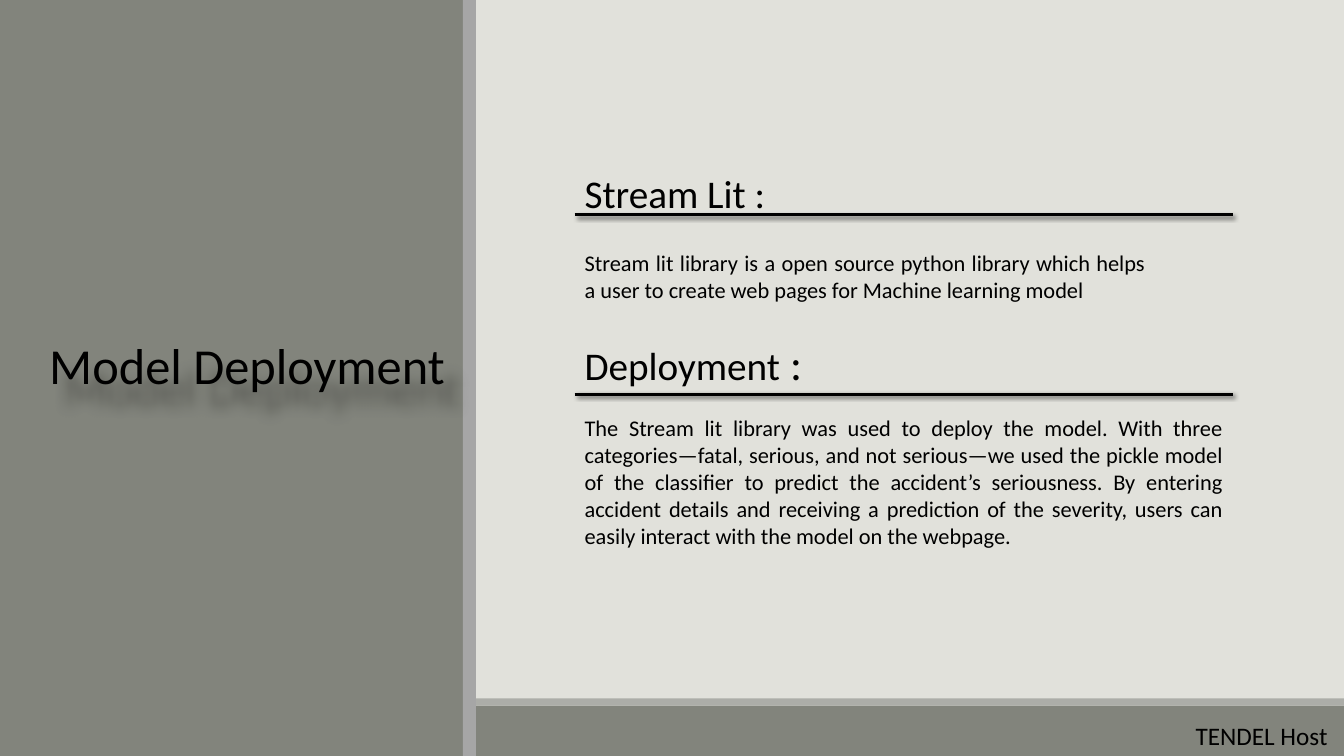
from dataclasses import dataclass

from lxml import etree
from pptx import Presentation
from pptx.dml.color import RGBColor
from pptx.enum.shapes import MSO_CONNECTOR, MSO_SHAPE
from pptx.enum.text import MSO_ANCHOR, PP_ALIGN
from pptx.oxml.ns import qn
from pptx.util import Inches, Pt

RECTANGLE = MSO_SHAPE.RECTANGLE
STRAIGHT = MSO_CONNECTOR.STRAIGHT
TOP = MSO_ANCHOR.TOP
LEFT, JUSTIFY = PP_ALIGN.LEFT, PP_ALIGN.JUSTIFY


@dataclass(frozen=True)
class Theme:
    font: str = "Calibri"
    background: str = "E1E1DB"
    panel: str = "82847C"
    footer_edge: str = "ACADA8"
    panel_edge: str = "A6A6A6"
    ink: str = "000000"
    title: int = 36
    heading: int = 28
    colon: int = 32
    body: int = 16
    host: int = 18


@dataclass(frozen=True)
class Band:
    left: float
    top: float
    width: float
    height: float
    color: str


@dataclass(frozen=True)
class Shadow:
    opacity: int
    blur: float
    distance: float
    angle: int


@dataclass(frozen=True)
class Section:
    heading: str
    colon_size: int
    heading_top: float
    heading_height: float
    rule_y: float
    body: str
    body_top: float
    body_width: float
    body_height: float


THEME = Theme()
SLIDE_W, SLIDE_H = 13.33, 7.5
CONTENT_LEFT, CONTENT_W = 5.7, 6.53
RULE_SHADOW = Shadow(opacity=60, blur=3, distance=2, angle=45)
TITLE_SHADOW = Shadow(opacity=40, blur=10, distance=18, angle=55)

FOOTER = (
    Band(0, 7, SLIDE_W, 0.5, THEME.panel),
    Band(0, 6.93, SLIDE_W, 0.07, THEME.footer_edge),
)
SIDE_PANEL = (
    Band(0, 0, 4.59, SLIDE_H, THEME.panel),
    Band(4.59, 0, 0.13, SLIDE_H, THEME.panel_edge),
)
SECTIONS = (
    Section("Stream Lit", THEME.heading, 1.63, 0.57, 2.13,
            "Stream lit library is a open source python library which helps "
            "a user to create web pages for Machine learning model",
            2.42, 5.76, 0.64),
    Section("Deployment", THEME.colon, 3.28, 0.64, 3.91,
            "The Stream lit library was used to deploy the model. With three "
            "categories—fatal, serious, and not serious—we used the pickle model "
            "of the classifier to predict the accident’s seriousness. By entering "
            "accident details and receiving a prediction of the severity, users "
            "can easily interact with the model on the webpage.",
            4.06, CONTENT_W, 1.75),
)


def rgb(color: str) -> RGBColor:
    return RGBColor.from_string(color)


def add_effects(shape, shadow: Shadow) -> None:
    """Give a shape its own outer shadow."""
    effects = etree.SubElement(shape._element.spPr, qn("a:effectLst"))
    outer = etree.SubElement(
        effects, qn("a:outerShdw"), blurRad=str(Pt(shadow.blur)),
        dist=str(Pt(shadow.distance)), dir=str(shadow.angle * 60000),
        algn="tl", rotWithShape="0")
    color = etree.SubElement(outer, qn("a:srgbClr"), val=THEME.ink)
    etree.SubElement(color, qn("a:alpha"), val=str(shadow.opacity * 1000))


def add_band(slide, band: Band) -> None:
    shape = slide.shapes.add_shape(
        RECTANGLE, Inches(band.left), Inches(band.top),
        Inches(band.width), Inches(band.height))
    shape.shadow.inherit = False
    shape.fill.solid()
    shape.fill.fore_color.rgb = rgb(band.color)
    shape.line.fill.background()


def add_text(slide, text: str, *, left: float, top: float, width: float,
             height: float, size: int, align: PP_ALIGN = LEFT,
             suffix: str = "", suffix_size: int = 0):
    """Add one paragraph, with an optional ending of another size."""
    box = slide.shapes.add_textbox(
        Inches(left), Inches(top), Inches(width), Inches(height))
    frame = box.text_frame
    frame.word_wrap = True
    frame.vertical_anchor = TOP
    paragraph = frame.paragraphs[0]
    paragraph.alignment = align
    pieces = [(text, size)]
    if suffix:
        pieces.append((suffix, suffix_size))
    for words, points in pieces:
        run = paragraph.add_run()
        run.text = words
        run.font.name = THEME.font
        run.font.size = Pt(points)
        run.font.color.rgb = rgb(THEME.ink)
    return box


def add_rule(slide, y: float) -> None:
    rule = slide.shapes.add_connector(
        STRAIGHT, Inches(CONTENT_LEFT), Inches(y),
        Inches(CONTENT_LEFT + CONTENT_W), Inches(y))
    rule.line.color.rgb = rgb(THEME.ink)
    rule.line.width = Pt(2)
    add_effects(rule, RULE_SHADOW)


def add_section(slide, section: Section) -> None:
    add_text(slide, section.heading, left=CONTENT_LEFT, top=section.heading_top,
             width=CONTENT_W, height=section.heading_height, size=THEME.heading,
             suffix=" :", suffix_size=section.colon_size)
    add_rule(slide, section.rule_y)
    add_text(slide, section.body, left=CONTENT_LEFT, top=section.body_top,
             width=section.body_width, height=section.body_height,
             size=THEME.body, align=JUSTIFY)


def main() -> None:
    deck = Presentation()
    deck.slide_width, deck.slide_height = Inches(SLIDE_W), Inches(SLIDE_H)
    slide = deck.slides.add_slide(deck.slide_layouts[6])
    slide.background.fill.solid()
    slide.background.fill.fore_color.rgb = rgb(THEME.background)

    # Footer and side panel
    for band in FOOTER + SIDE_PANEL:
        add_band(slide, band)

    # Title on the side panel
    title = add_text(slide, "Model Deployment", left=0.39, top=3.27,
                     width=4.2, height=0.71, size=THEME.title)
    add_effects(title, TITLE_SHADOW)

    # Headed sections
    for section in SECTIONS:
        add_section(slide, section)

    # Host name in the footer
    add_text(slide, "TENDEL Host", left=11.76, top=7.1, width=1.57,
             height=0.4, size=THEME.host)

    deck.save("out.pptx")


if __name__ == "__main__":
    main()
